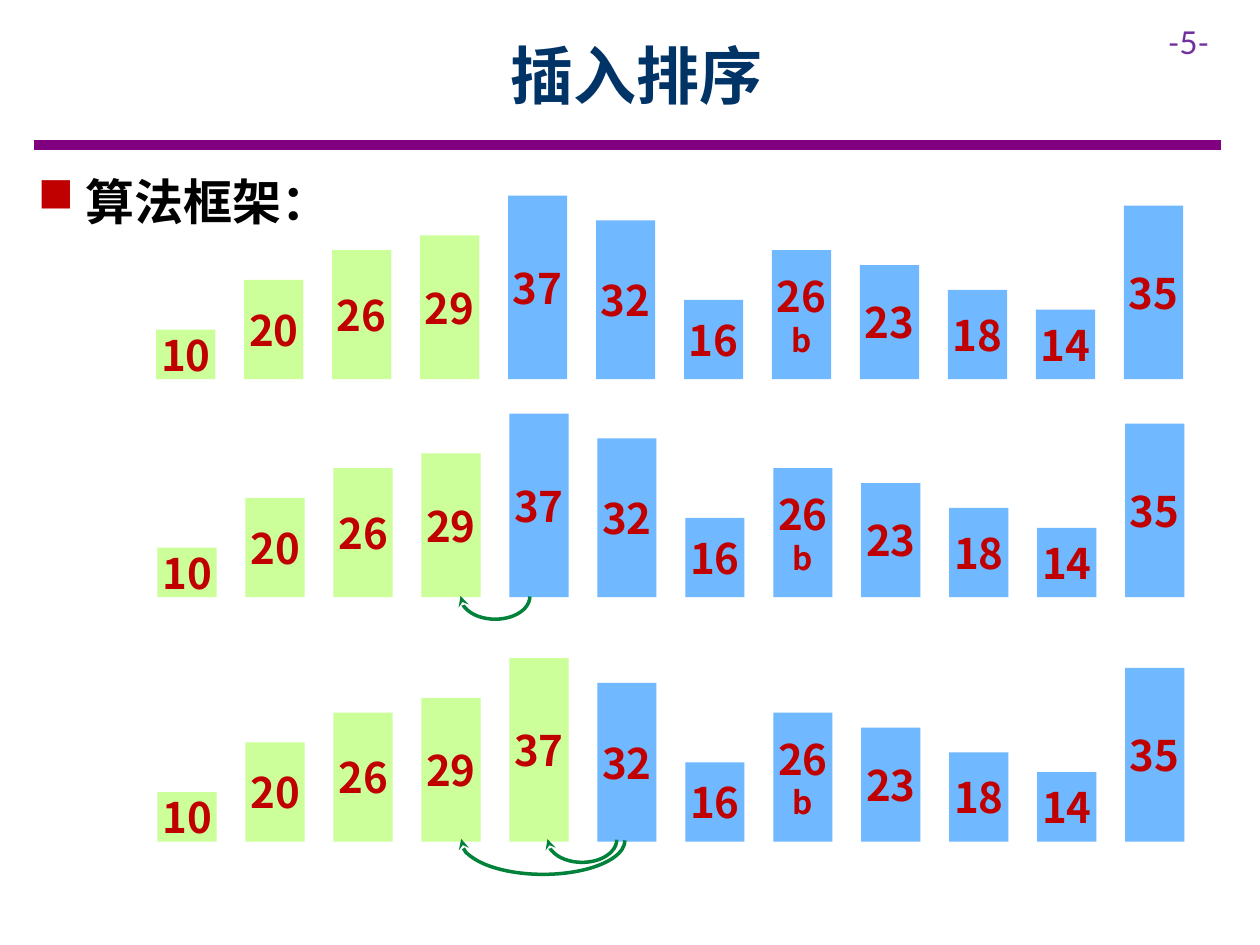
import pptx
import pptx.util
import pptx.dml.color
import pptx.enum.shapes
import pptx.enum.text
import pptx.oxml
import pptx.oxml.ns
from lxml import etree

Inches, Pt = pptx.util.Inches, pptx.util.Pt
RGB = pptx.dml.color.RGBColor
SHAPE = pptx.enum.shapes.MSO_SHAPE
ALIGN = pptx.enum.text.PP_ALIGN
ANCHOR = pptx.enum.text.MSO_ANCHOR
qn = pptx.oxml.ns.qn

# Content
TITLE = "插入排序"
HEADING = "算法框架："
PAGE = "-5-"
BARS = ["10", "20", "26", "29", "37", "32", "16", "26\nb", "23", "18", "14", "35"]
# Each step: left of first bar, baseline, number of sorted bars
STEPS = [(1.24, 3.01, 4), (1.25, 4.74, 4), (1.25, 6.68, 5)]
# Each move: unrotated left, top, width, height
MOVES = [(3.75, 4.46, 0.36, 0.55), (4.44, 6.39, 0.36, 0.55), (4.04, 6.02, 0.54, 1.3)]

# Bar grid
BAR_WIDTH = 0.47
BAR_PITCH = 7.68 / (len(BARS) - 1)
UNIT_HEIGHT = 1 / 25.4  # one millimetre per unit of value

# Style
FONT, PAGE_FONT = "Noto Sans CJK SC", "Lato"
SORTED = RGB(0xCC, 0xFF, 0x99)
UNSORTED = RGB(0x70, 0xB8, 0xFF)
RED = RGB(0xC0, 0x00, 0x00)
NAVY = RGB(0x00, 0x33, 0x66)
BLACK = RGB(0x00, 0x00, 0x00)
PURPLE = RGB(0x80, 0x00, 0x80)
VIOLET = RGB(0x70, 0x30, 0xA0)
GREEN = RGB(0x00, 0x82, 0x3B)


def style(paragraph, size, color, name=FONT, bold=True):
    font = paragraph.font
    font.size, font.bold, font.name = Pt(size), bold, name
    font.color.rgb = color
    latin = font._element.find(qn("a:latin"))
    east_asian = etree.Element(qn("a:ea"), typeface=name)
    latin.addnext(east_asian)


def add_text(slide, box, text, *font, anchor=ANCHOR.TOP):
    frame = slide.shapes.add_textbox(*map(Inches, box)).text_frame
    frame.word_wrap = True
    frame.vertical_anchor = anchor
    frame.text = text
    style(frame.paragraphs[0], *font)
    return frame.paragraphs[0]


def add_bar(slide, left, baseline, label, fill):
    lines = label.split("\n")
    height = int(lines[0]) * UNIT_HEIGHT
    bar = slide.shapes.add_shape(
        SHAPE.RECTANGLE, Inches(left), Inches(baseline - height),
        Inches(BAR_WIDTH), Inches(height))
    bar.shadow.inherit = False
    bar.fill.solid()
    bar.fill.fore_color.rgb = fill
    bar.line.fill.background()
    frame = bar.text_frame
    frame.margin_left = frame.margin_right = 0
    frame.margin_top = frame.margin_bottom = Inches(0.1)
    frame.vertical_anchor = ANCHOR.MIDDLE
    frame.text = label
    for paragraph, size in zip(frame.paragraphs, (24, 18)):
        paragraph.alignment = ALIGN.CENTER
        style(paragraph, size, RED)


def add_move(slide, box):
    arc = slide.shapes.add_shape(SHAPE.ARC, *map(Inches, box))
    arc.rotation = 90
    arc.adjustments[0], arc.adjustments[1] = 162, 54.6
    arc.shadow.inherit = False
    arc.fill.background()
    arc.line.color.rgb = GREEN
    arc.line.width = Pt(2)
    etree.SubElement(arc.line._get_or_add_ln(), qn("a:tailEnd"), type="stealth")


prs = pptx.Presentation()
prs.slide_width, prs.slide_height = Inches(10), Inches(7.5)
slide = prs.slides.add_slide(prs.slide_layouts[6])

# Rule under the title
rule = slide.shapes.add_connector(
    pptx.enum.shapes.MSO_CONNECTOR.STRAIGHT,
    Inches(0.27), Inches(1.15), Inches(9.69), Inches(1.15))
rule.line.color.rgb = PURPLE
rule.line.width = Pt(6)
etree.SubElement(rule._element.spPr, qn("a:effectLst"))

# Page number, heading and title
add_text(slide, (9.17, 0.13, 0.83, 0.4), PAGE, 18, VIOLET, PAGE_FONT, False)

heading = add_text(slide, (0.2, 1.31, 9.45, 0.57), HEADING, 28, BLACK,
                   anchor=ANCHOR.MIDDLE)
heading.space_after = Pt(6)
properties = heading._p.get_or_add_pPr()
properties.set("marL", str(Inches(0.38)))
properties.set("indent", str(-Inches(0.38)))
bullet_color = etree.Element(qn("a:buClr"))
etree.SubElement(bullet_color, qn("a:srgbClr"), val=str(RED))
bullet = etree.Element(qn("a:buChar"), char="■")
properties.find(qn("a:spcAft")).addnext(bullet_color)
bullet_color.addnext(bullet)

title = add_text(slide, (0.9, 0.09, 8.31, 1), TITLE, 36, NAVY, anchor=ANCHOR.MIDDLE)
title.alignment = ALIGN.CENTER

# Sorting steps
for first_left, baseline, sorted_count in STEPS:
    for column, label in enumerate(BARS):
        add_bar(slide, first_left + column * BAR_PITCH, baseline, label,
                SORTED if column < sorted_count else UNSORTED)

# Insertion moves
for box in MOVES:
    add_move(slide, box)

prs.save("out.pptx")
